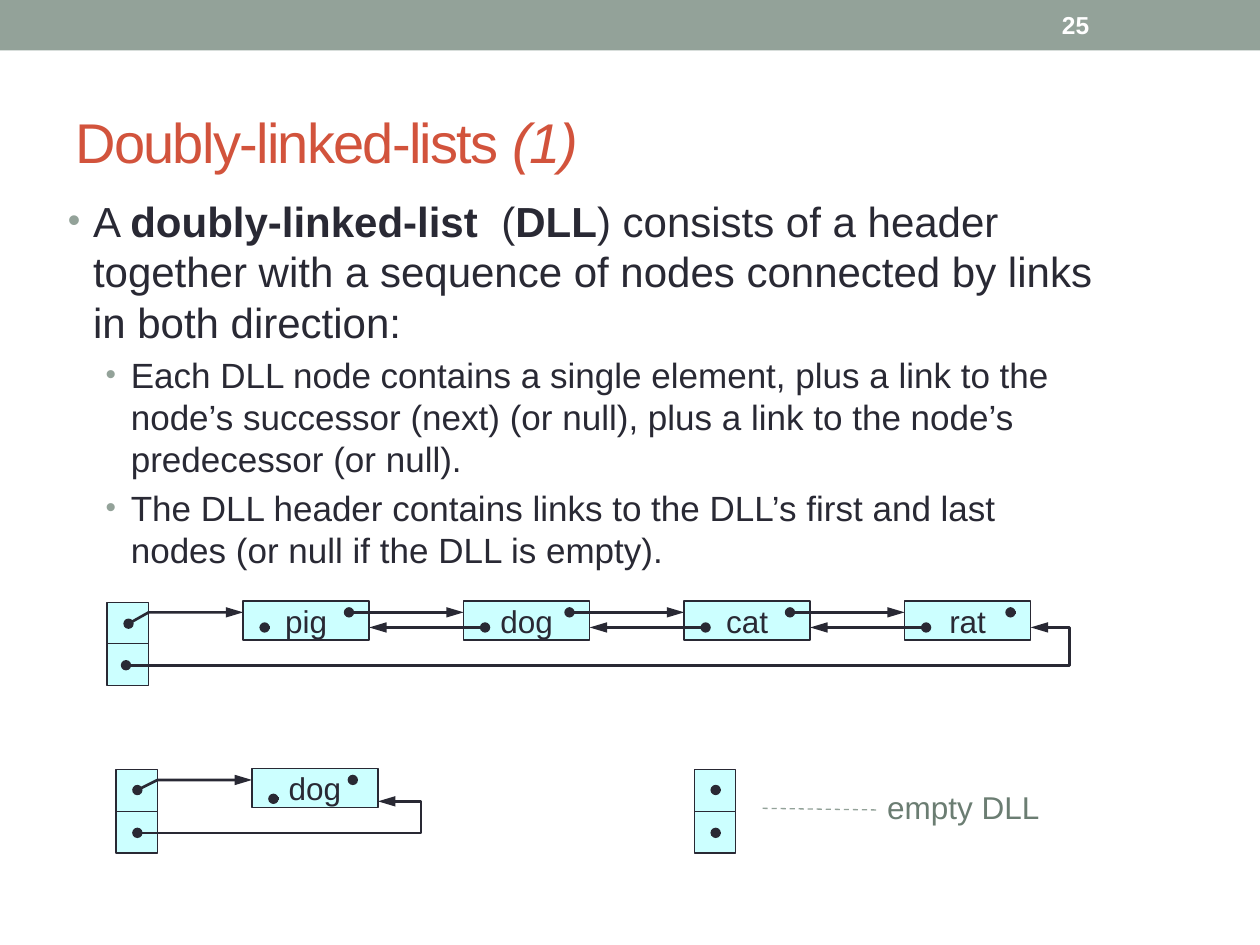
from lxml import etree
from pptx import Presentation
from pptx.dml.color import RGBColor
from pptx.enum.dml import MSO_LINE
from pptx.enum.shapes import MSO_CONNECTOR, MSO_SHAPE
from pptx.enum.text import MSO_ANCHOR, PP_ALIGN
from pptx.oxml.ns import qn
from pptx.util import Inches, Pt

RECT, CALLOUT = MSO_SHAPE.RECTANGLE, MSO_SHAPE.LINE_CALLOUT_1_NO_BORDER
STRAIGHT, DASH = MSO_CONNECTOR.STRAIGHT, MSO_LINE.DASH
TOP, MIDDLE = MSO_ANCHOR.TOP, MSO_ANCHOR.MIDDLE
LEFT, CENTER = PP_ALIGN.LEFT, PP_ALIGN.CENTER
COLORS = {k: RGBColor.from_string(v) for k, v in {
    "sage": "93A299", "title": "D2533C", "ink": "292934",
    "cell": "CCFFFF", "note": "6B7D72", "white": "FFFFFF"}.items()}

prs = Presentation()
prs.slide_width, prs.slide_height = Inches(10), Inches(7.5)
s = prs.slides.add_slide(prs.slide_layouts[6])


def write(sp, paragraphs, size, color, anchor=TOP, align=LEFT, inset=None):
    """Fill a shape with paragraphs, each a list of (text, font values)."""
    tf = sp.text_frame
    tf.word_wrap, tf.vertical_anchor = True, anchor
    if inset is not None:
        for side in ("left", "top", "right", "bottom"):
            setattr(tf, f"margin_{side}", Inches(inset))
    for i, runs in enumerate(paragraphs):
        p = tf.add_paragraph() if i else tf.paragraphs[0]
        p.alignment = align
        for text, extra in runs:
            r = p.add_run()
            r.text = text
            for name, value in {"name": "Arial", "size": Pt(size), **extra}.items():
                setattr(r.font, name, value)
            r.font.color.rgb = COLORS[color]
    return tf


def link(points, arrow=True):
    """Draw a line through points, with a dot at its start."""
    points = [(Inches(x), Inches(y)) for x, y in points]
    if len(points) == 2:
        sp = s.shapes.add_connector(STRAIGHT, *points[0], *points[1])
        etree.SubElement(sp._element.spPr, qn("a:effectLst"))
    else:
        fb = s.shapes.build_freeform(*points[0])
        fb.add_line_segments(points[1:], close=False)
        sp = fb.convert_to_shape()
        sp.fill.background()
        sp.shadow.inherit = False
    sp.line.color.rgb, sp.line.width = COLORS["ink"], Pt(1.5)
    ln = sp.line._get_or_add_ln()
    etree.SubElement(ln, qn("a:headEnd"), type="oval")
    if arrow:
        etree.SubElement(ln, qn("a:tailEnd"), type="triangle", len="lg")


# Top band and slide number
sp = s.shapes.add_shape(RECT, 0, 0, Inches(10), Inches(0.4))
sp.shadow.inherit = False
sp.fill.solid()
sp.fill.fore_color.rgb = COLORS["sage"]
sp.line.fill.background()
sp = s.shapes.add_textbox(Inches(8.33), Inches(0.02), Inches(1.17), Inches(0.36))
write(sp, [[("25", {"bold": True})]], 14, "white", MIDDLE)

# Title
sp = s.shapes.add_textbox(Inches(0.5), Inches(0.58), Inches(9), Inches(1.08))
tf = write(sp, [[("Doubly-linked-lists ", {}), ("(1)", {"italic": True})]],
           32, "title", MIDDLE)
for r in tf.paragraphs[0].runs:
    r.font._element.set("spc", "-100")

# Bulleted text
bold, sub = {"bold": True}, {"size": Pt(20)}
sp = s.shapes.add_textbox(Inches(0.44), Inches(1.5), Inches(8.33), Inches(5.25))
tf = write(sp, [
    [("A ", {}), ("doubly-linked-list", bold), ("  (", {}), ("DLL", bold),
     (") consists of a header together with a sequence of nodes connected "
      "by links in both direction:", {})],
    [("Each DLL node contains a single element, plus a link to the node’s "
      "successor (next) (or null), plus a link to the node’s predecessor "
      "(or null).", sub)],
    [("The DLL header contains links to the DLL’s first and last nodes "
      "(or null if the DLL is empty).", sub)],
], 24, "ink")
for i, p in enumerate(tf.paragraphs):
    if i:
        p.level, p.space_before = 1, Pt(4)
    pPr = p._p.get_or_add_pPr()
    pPr.set("marL", str(Inches(0.5 if i else 0.2)))
    pPr.set("indent", str(Inches(-0.2)))
    clr = etree.SubElement(pPr, qn("a:buClr"))
    etree.SubElement(clr, qn("a:srgbClr"), val=str(COLORS["sage"]))
    etree.SubElement(pPr, qn("a:buSzPct"), val="85000")
    etree.SubElement(pPr, qn("a:buFont"), typeface="Arial")
    etree.SubElement(pPr, qn("a:buChar"), char="•")

# Header cells (stacked in pairs) and nodes
CELL, NODE_W, NODE_H, PITCH = 0.33, 1, 0.31, 1.75
headers = [(0.85, 4.78), (0.92, 6.11), (5.51, 6.11)]
boxes = [(x, y + row * CELL, CELL, CELL, "") for x, y in headers for row in (0, 1)]
node_xs = [1.93 + i * PITCH for i in range(4)]
boxes += [(x, 4.77, NODE_W, NODE_H, word)
          for x, word in zip(node_xs, ("pig", "dog", "cat", "rat"))]
boxes.append((2, 6.1, NODE_W, NODE_H, "dog"))
for x, y, w, h, word in boxes:
    sp = s.shapes.add_shape(RECT, Inches(x), Inches(y), Inches(w), Inches(h))
    sp.shadow.inherit = False
    sp.fill.solid()
    sp.fill.fore_color.rgb = COLORS["cell"]
    sp.line.color.rgb, sp.line.width = COLORS["ink"], Pt(0.75)
    if word:
        write(sp, [[(word, {})]], 18, "ink", MIDDLE, CENTER, 0)

# Links between neighbouring nodes
NEXT_Y, PREV_Y = 4.86, 4.98
for a, b in zip(node_xs, node_xs[1:]):
    link([(a + 0.84, NEXT_Y), (b, NEXT_Y)])
    link([(b + 0.17, PREV_Y), (a + NODE_W, PREV_Y)])

# Links from the headers to the first and last nodes
link([(1.02, 4.95), (1.18, NEXT_Y), (1.93, NEXT_Y)])
link([(1, 5.28), (8.49, 5.28), (8.49, PREV_Y), (8.18, PREV_Y)])
link([(1.09, 6.27), (1.25, 6.19), (2, 6.19)])
link([(1.09, 6.61), (3.34, 6.61), (3.34, 6.36), (3, 6.36)])

# Null links
for x, y in [(2.1, PREV_Y), (8.02, NEXT_Y), (2.17, 6.34), (2.8, 6.19),
             (5.68, 6.27), (5.68, 6.61)]:
    link([(x, y), (x + 0.04, y)], arrow=False)

# Callout for the empty list
sp = s.shapes.add_shape(CALLOUT, Inches(7.04), Inches(6.3), Inches(1.25), Inches(0.32))
sp.shadow.inherit = False
sp.fill.background()
sp.line.color.rgb, sp.line.width = COLORS["sage"], Pt(0.75)
sp.line.dash_style = DASH
for i, value in enumerate((0.4, -0.07, 0.36, -0.81)):
    sp.adjustments[i] = value
tf = write(sp, [[("empty DLL", {})]], 18, "note", inset=0)
tf.paragraphs[0].line_spacing = Pt(18)

prs.save("out.pptx")
